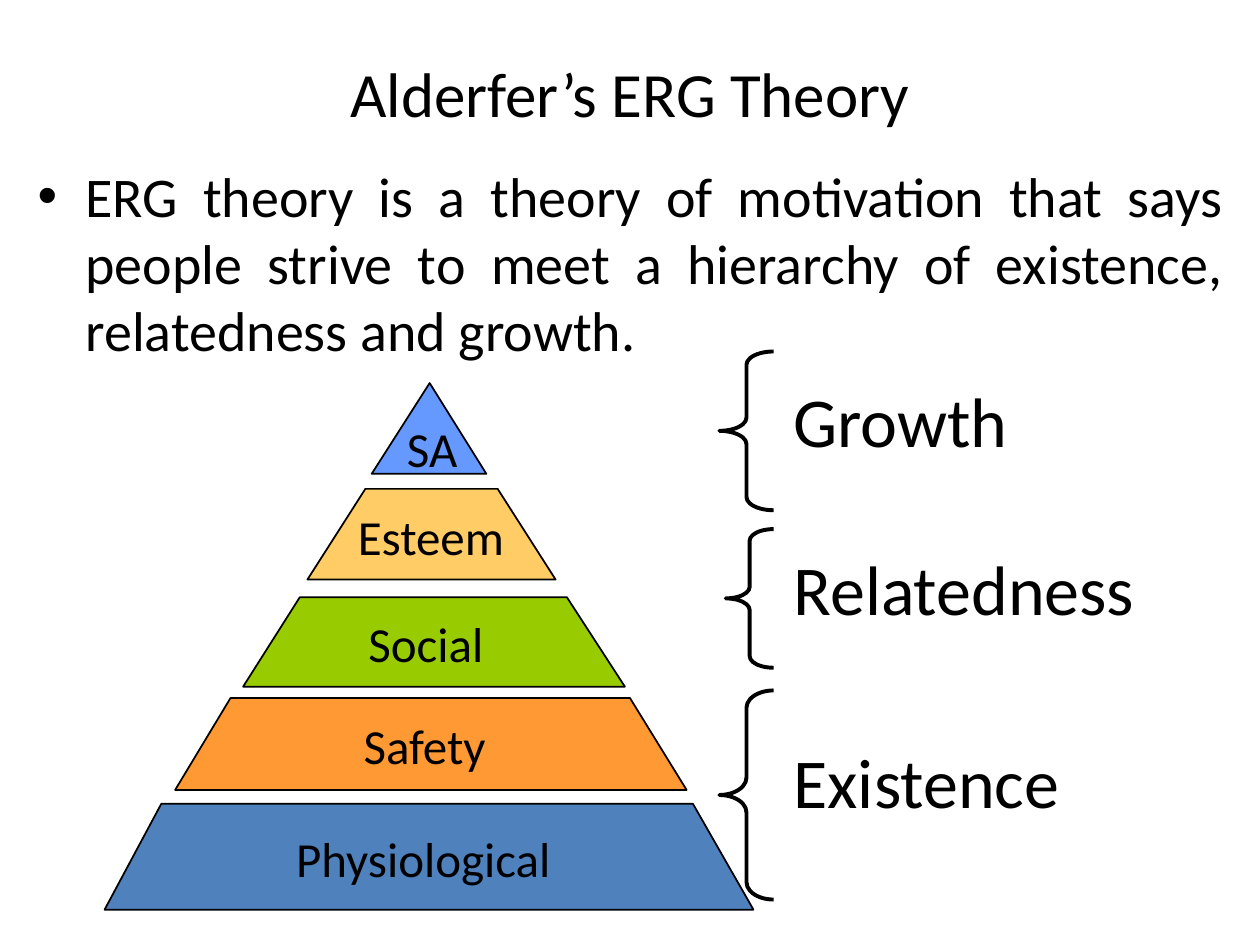
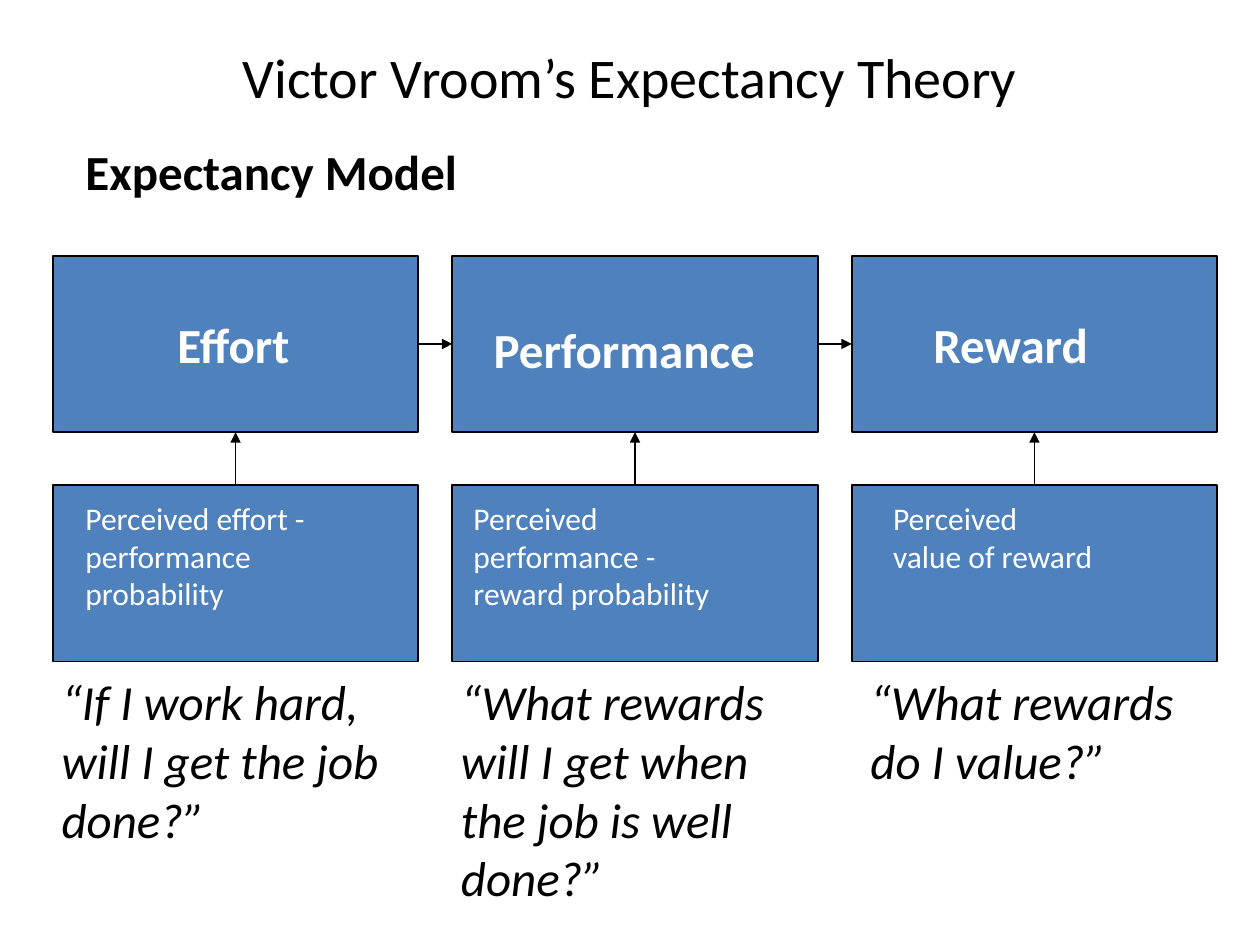
from dataclasses import dataclass
from lxml import etree
from pptx import Presentation
from pptx.dml.color import RGBColor
from pptx.enum.shapes import MSO_CONNECTOR, MSO_SHAPE
from pptx.enum.text import MSO_ANCHOR, MSO_AUTO_SIZE, PP_ALIGN
from pptx.oxml.ns import qn
from pptx.util import Inches, Pt

LEFT, CENTER, JUSTIFY = PP_ALIGN.LEFT, PP_ALIGN.CENTER, PP_ALIGN.JUSTIFY
TOP, MIDDLE = MSO_ANCHOR.TOP, MSO_ANCHOR.MIDDLE
RECTANGLE, LEFT_BRACE = MSO_SHAPE.RECTANGLE, MSO_SHAPE.LEFT_BRACE
STRAIGHT = MSO_CONNECTOR.STRAIGHT
NO_FIT = MSO_AUTO_SIZE.NONE
SIDE_TOP, SIDE_LEFT, SIDE_BOTTOM, SIDE_RIGHT = range(4)

SLIDE_WIDTH, SLIDE_HEIGHT = Inches(10), Inches(7.5)
GRID_COLUMNS, GRID_ROWS = 100, 75
TITLE_ONLY = 5


@dataclass(frozen=True)
class Theme:
    font: str = "Calibri"
    ink: str = "000000"
    paper: str = "FFFFFF"
    blue: str = "4F81BD"
    orange: str = "FF9933"
    green: str = "99CC00"
    yellow: str = "FFCC66"
    sky: str = "6699FF"
    title: int = 36
    body: int = 32
    label: int = 28
    need: int = 40
    note: int = 18
    thin: float = 1
    thick: float = 2.25


THEME = Theme()


@dataclass(frozen=True)
class Place:
    column: float
    row: float
    columns: float
    rows: float

    def lengths(self) -> tuple:
        return (across(self.column), down(self.row),
                across(self.columns), down(self.rows))


@dataclass(frozen=True)
class Tier:
    name: str
    color: str
    top: float
    bottom: float
    top_edge: tuple
    base_edge: tuple
    label_center: float
    label_row: float


@dataclass(frozen=True)
class Need:
    name: str
    label_row: float
    label_columns: float
    brace: Place


@dataclass(frozen=True)
class Stage:
    name: str
    name_place: Place
    note: str
    note_place: Place
    question: str
    question_place: Place


TIERS = (
    Tier("Physiological", THEME.blue, 63.8, 72.2, (12.8, 55), (8.3, 59.8), 33.6, 65.3),
    Tier("Safety", THEME.orange, 55.4, 62.7, (18.3, 50), (13.9, 54.5), 33.7, 56.3),
    Tier("Social", THEME.green, 47.4, 54.5, (23.8, 45), (19.3, 49.6), 33.8, 48.2),
    Tier("Esteem", THEME.yellow, 38.8, 46, (29, 39.5), (24.4, 44.1), 34.2, 39.7),
    Tier("SA", THEME.sky, 30.4, 37.6, (34.1,), (29.5, 38.6), 34.3, 32.7),
)

NEEDS = (
    Need("Growth", 29.5, 19.9, Place(57.1, 27.9, 4.3, 12.6)),
    Need("Relatedness", 42.8, 32.9, Place(57.6, 42, 3.8, 11)),
    Need("Existence", 58.1, 26.1, Place(57.1, 54.8, 4.3, 16.6)),
)

STAGES = (
    Stage("Effort", Place(13.1, 24.5, 11.1, 5.7),
          "Perceived effort -\nperformance\nprobability",
          Place(5.8, 39.1, 19.6, 10.1),
          "“If I work hard,\nwill I get the job\ndone?”",
          Place(3.9, 52.8, 28.8, 15)),
    Stage("Performance", Place(38.2, 24.9, 23, 5.7),
          "Perceived\nperformance -\nreward probability",
          Place(36.6, 39.1, 29.3, 10.1),
          "“What rewards\nwill I get when\nthe job is well done?”",
          Place(35.6, 52.8, 29.4, 19.7)),
    Stage("Reward", Place(73.1, 24.5, 14.4, 5.7),
          "Perceived\nvalue of reward",
          Place(69.9, 39.1, 18, 7),
          "“What rewards\ndo I value?”",
          Place(68.1, 52.8, 27.3, 10.3)),
)

STAGE_LEFT, STAGE_STEP = 4.2, 31.7
STAGE_COLUMNS, STAGE_ROWS = 29, 14
STAGE_TOP, NOTE_TOP = 20.3, 38.5
LABEL_COLUMNS, LABEL_ROWS = 23.3, 5.7
TEXT_INDENT = Inches(0.38)


def across(columns: float) -> int:
    return round(SLIDE_WIDTH * columns / GRID_COLUMNS)


def down(rows: float) -> int:
    return round(SLIDE_HEIGHT * rows / GRID_ROWS)


def rgb(color: str) -> RGBColor:
    return RGBColor.from_string(color)


def write(frame, text: str, *, size: float, color: str = THEME.ink,
          bold: bool = False, italic: bool = False, align=LEFT,
          anchor=TOP, wrap: bool = True) -> None:
    frame.word_wrap = wrap
    frame.auto_size = NO_FIT
    frame.vertical_anchor = anchor
    for index, line in enumerate(text.split("\n")):
        para = frame.add_paragraph() if index else frame.paragraphs[0]
        para.alignment = align
        span = para.add_run()
        span.text = line
        span.font.name = THEME.font
        span.font.size = Pt(size)
        span.font.bold = bold
        span.font.italic = italic
        span.font.color.rgb = rgb(color)


def add_text(page, text: str, place: Place, **text_format):
    box = page.shapes.add_textbox(*place.lengths())
    write(box.text_frame, text, **text_format)
    return box


def indent(box, *, bullet: str = "") -> None:
    properties = box.text_frame.paragraphs[0]._p.get_or_add_pPr()
    properties.set("marL", str(TEXT_INDENT))
    if bullet:
        properties.set("indent", str(-TEXT_INDENT))
        etree.SubElement(properties, qn("a:buFont"), typeface="Arial")
        etree.SubElement(properties, qn("a:buChar"), char=bullet)


def style(shape, *, fill: str = "", width: float = THEME.thin) -> None:
    shape.shadow.inherit = False
    if fill:
        shape.fill.solid()
        shape.fill.fore_color.rgb = rgb(fill)
    else:
        shape.fill.background()
    shape.line.color.rgb = rgb(THEME.ink)
    shape.line.width = Pt(width)


def add_page(deck, title: str, *, size: float, rows: float, lead: float = 0.05):
    page = deck.slides.add_slide(deck.slide_layouts[TITLE_ONLY])
    box = page.shapes.title
    box.left, box.top, box.width, box.height = Place(0, 2.1, 100, rows).lengths()
    write(box.text_frame, title, size=size, align=CENTER, anchor=MIDDLE)
    box.text_frame.margin_top = Inches(lead)
    return page


def add_tier(page, tier: Tier) -> None:
    corners = [(across(column), down(tier.top)) for column in tier.top_edge]
    corners += [(across(column), down(tier.bottom)) for column in reversed(tier.base_edge)]
    builder = page.shapes.build_freeform(*corners[0], scale=1.0)
    builder.add_line_segments(corners[1:], close=True)
    style(builder.convert_to_shape(), fill=tier.color)
    place = Place(tier.label_center - LABEL_COLUMNS / 2, tier.label_row,
                  LABEL_COLUMNS, LABEL_ROWS)
    add_text(page, tier.name, place, size=THEME.label, align=CENTER)


def add_need(page, need: Need) -> None:
    brace = page.shapes.add_shape(LEFT_BRACE, *need.brace.lengths())
    brace.adjustments[0] = need.brace.rows / need.brace.columns / 12
    style(brace, width=THEME.thick)
    add_text(page, need.name, Place(62, need.label_row, need.label_columns, 7.7),
             size=THEME.need, wrap=False)


def add_stage_box(page, index: int, top: float):
    place = Place(STAGE_LEFT + index * STAGE_STEP, top, STAGE_COLUMNS, STAGE_ROWS)
    box = page.shapes.add_shape(RECTANGLE, *place.lengths())
    style(box, fill=THEME.blue)
    return box


def add_arrow(page, start, start_side: int, end, end_side: int) -> None:
    arrow = page.shapes.add_connector(STRAIGHT, 0, 0, 0, 0)
    arrow.begin_connect(start, start_side)
    arrow.end_connect(end, end_side)
    arrow.line.color.rgb = rgb(THEME.ink)
    arrow.line.width = Pt(THEME.thin)
    properties = arrow._element.spPr
    etree.SubElement(properties.find(qn("a:ln")), qn("a:tailEnd"), type="triangle")
    etree.SubElement(properties, qn("a:effectLst"))


def build_erg(deck) -> None:
    page = add_page(deck, "Alderfer’s ERG Theory", size=THEME.title, rows=8.7, lead=0.22)
    body = add_text(
        page,
        "ERG theory is a theory of motivation that says people strive to meet "
        "a hierarchy of existence, relatedness and growth.",
        Place(2, 12.3, 96.1, 60.6), size=THEME.body, align=JUSTIFY)
    indent(body, bullet="•")
    for tier in TIERS:
        add_tier(page, tier)
    for need in NEEDS:
        add_need(page, need)


def build_expectancy(deck) -> None:
    page = add_page(deck, "Victor Vroom’s Expectancy Theory", size=THEME.body, rows=7.9)
    heading = add_text(page, "Expectancy Model", Place(2, 10.7, 96.1, 62.2),
                       size=THEME.label, bold=True)
    indent(heading)
    stage_boxes = [add_stage_box(page, index, STAGE_TOP) for index in range(len(STAGES))]
    note_boxes = [add_stage_box(page, index, NOTE_TOP) for index in range(len(STAGES))]
    for start, end in zip(stage_boxes, stage_boxes[1:]):
        add_arrow(page, start, SIDE_RIGHT, end, SIDE_LEFT)
    for note_box, stage_box in zip(note_boxes, stage_boxes):
        add_arrow(page, note_box, SIDE_TOP, stage_box, SIDE_BOTTOM)
    for stage in STAGES:
        add_text(page, stage.name, stage.name_place, size=THEME.label,
                 color=THEME.paper, bold=True, wrap=False)
        add_text(page, stage.note, stage.note_place, size=THEME.note, color=THEME.paper)
        add_text(page, stage.question, stage.question_place,
                 size=THEME.label, italic=True)


def main() -> None:
    deck = Presentation()
    deck.slide_width, deck.slide_height = SLIDE_WIDTH, SLIDE_HEIGHT
    build_erg(deck)
    build_expectancy(deck)
    deck.save("out.pptx")


if __name__ == "__main__":
    main()
